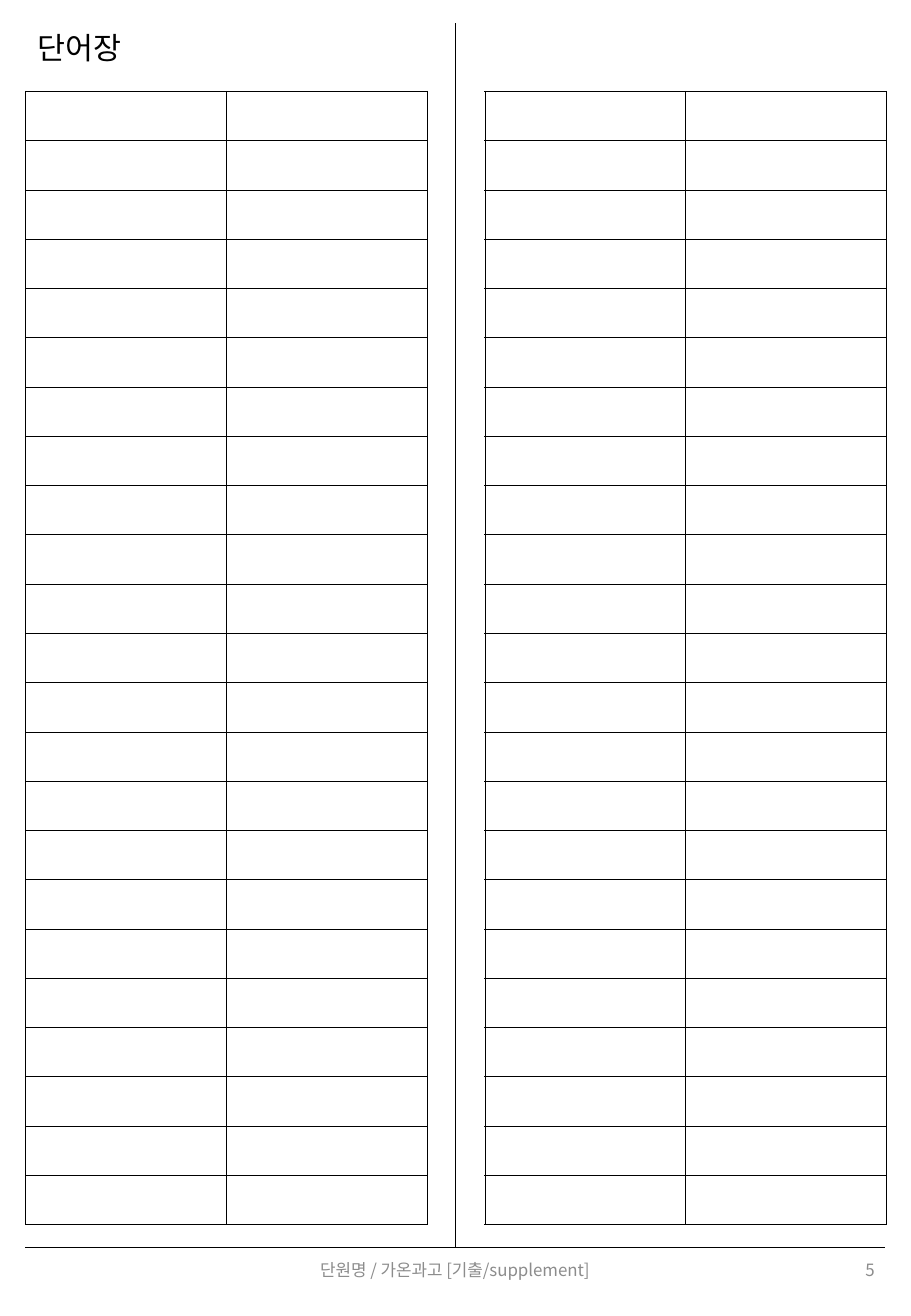
"""Build a two-column vocabulary worksheet page."""
from dataclasses import dataclass

import lxml.etree
import pptx
import pptx.dml.color
import pptx.enum.shapes
import pptx.enum.text
import pptx.oxml.ns
import pptx.util

Inches = pptx.util.Inches
Pt = pptx.util.Pt
Align = pptx.enum.text.PP_ALIGN
Anchor = pptx.enum.text.MSO_ANCHOR
qn = pptx.oxml.ns.qn

FONT = "Noto Sans CJK KR"
BLACK = "000000"
GRAY = "8C8C8C"
LEFT, RIGHT = 0.21, 7.29
TOP, FOOTER_TOP = 0.19, 10.27
WORD_ROWS, WORD_COLUMNS = 23, 2


@dataclass
class Box:
    """Place and size in inches."""
    left: float
    top: float
    width: float
    height: float

    def lengths(self) -> tuple:
        """Return the four measures as lengths."""
        return tuple(map(Inches, (self.left, self.top, self.width, self.height)))


@dataclass
class Rule:
    """A straight ruling between two points in inches."""
    x1: float
    y1: float
    x2: float
    y2: float


def color(value: str) -> pptx.dml.color.RGBColor:
    """Turn a hex string into a colour."""
    return pptx.dml.color.RGBColor.from_string(value)


def add_text(slide, text: str, box: Box, *, size: float = 10, ink: str = GRAY,
             align=Align.LEFT, anchor=Anchor.MIDDLE) -> None:
    """Add one line of formatted text."""
    frame = slide.shapes.add_textbox(*box.lengths()).text_frame
    frame.word_wrap = True
    frame.vertical_anchor = anchor
    paragraph = frame.paragraphs[0]
    paragraph.alignment = align
    run = paragraph.add_run()
    run.text = text
    run.font.size = Pt(size)
    run.font.name = FONT
    run.font.color.rgb = color(ink)
    east_asian = lxml.etree.SubElement(run.font._element, qn("a:ea"))
    east_asian.set("typeface", FONT)


def add_rule(slide, rule: Rule) -> None:
    """Draw a thin black ruling."""
    line = slide.shapes.add_connector(
        pptx.enum.shapes.MSO_CONNECTOR.STRAIGHT,
        *map(Inches, (rule.x1, rule.y1, rule.x2, rule.y2)))
    line.line.color.rgb = color(BLACK)
    line.line.width = Pt(0.5)
    lxml.etree.SubElement(line._element.spPr, qn("a:effectLst"))


def style_cell(cell) -> None:
    """Give an empty cell a thin border and no fill."""
    cell.margin_top = cell.margin_bottom = 0
    properties = cell._tc.get_or_add_tcPr()
    for side in ("lnL", "lnR", "lnT", "lnB"):
        border = lxml.etree.SubElement(properties, qn(f"a:{side}"), w=str(Pt(0.25)))
        fill = lxml.etree.SubElement(border, qn("a:solidFill"))
        lxml.etree.SubElement(fill, qn("a:srgbClr"), val=BLACK)
    cell.fill.background()


def add_word_list(slide, box: Box) -> None:
    """Add an empty grid for words and meanings."""
    grid = slide.shapes.add_table(WORD_ROWS, WORD_COLUMNS, *box.lengths()).table
    grid.first_row = grid.horz_banding = False
    for column in grid.columns:
        column.width = Inches(box.width / WORD_COLUMNS)
    for row in grid.rows:
        row.height = Inches(box.height / WORD_ROWS)
    for cell in grid.iter_cells():
        style_cell(cell)


def main() -> None:
    """Assemble and save the page."""
    deck = pptx.Presentation()
    deck.slide_width, deck.slide_height = Inches(7.5), Inches(10.83)
    page = deck.slides.add_slide(deck.slide_layouts[6])

    for rule in (Rule(3.75, TOP, 3.75, FOOTER_TOP),
                 Rule(LEFT, FOOTER_TOP, RIGHT, FOOTER_TOP)):
        add_rule(page, rule)
    add_text(page, "5", Box(5.61, FOOTER_TOP, 1.69, 0.36), align=Align.RIGHT)
    add_text(page, "단원명 / 가온과고 [기출/supplement]",
             Box(1.89, FOOTER_TOP, 3.71, 0.36), align=Align.CENTER)
    for list_left in (LEFT, 3.99):
        add_word_list(page, Box(list_left, 0.75, 3.31, 9.33))
    add_text(page, "단어장", Box(LEFT, TOP, 3.34, 0.4), size=18, ink=BLACK,
             anchor=Anchor.TOP)
    deck.save("out.pptx")


main()
